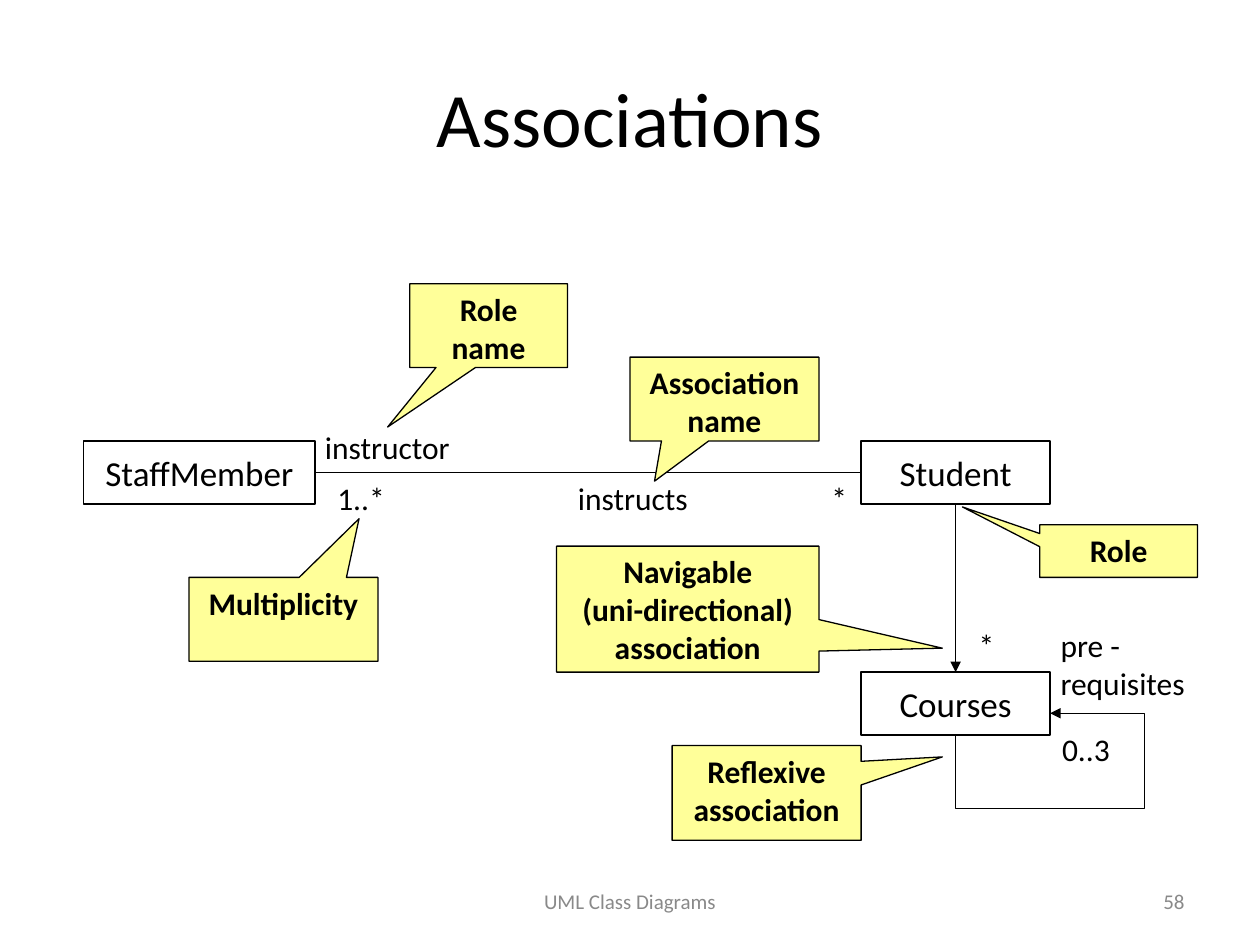
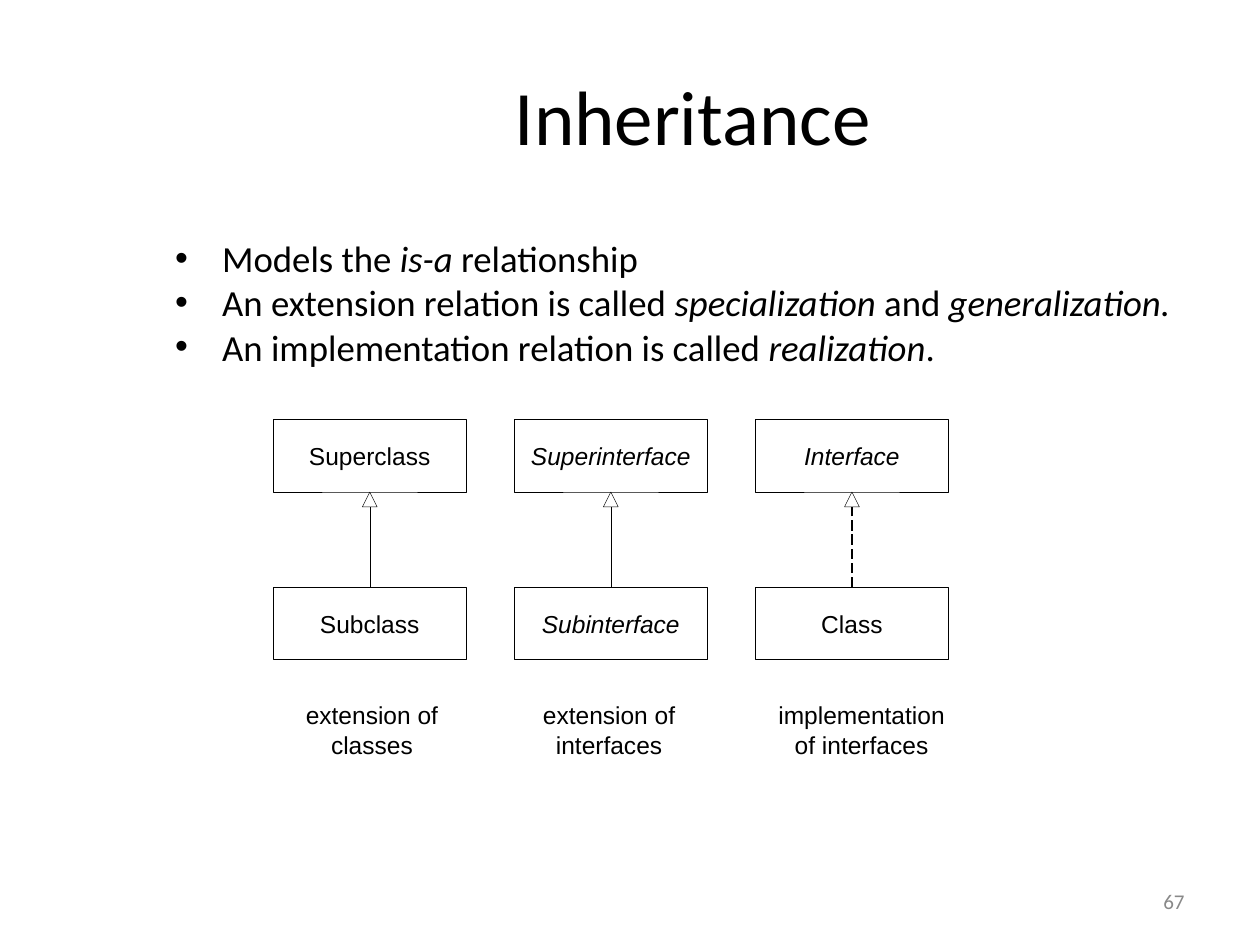
import pptx
import pptx.util
import pptx.dml.color
import pptx.enum.dml
import pptx.enum.shapes
import pptx.enum.text
import pptx.oxml.ns
import pptx.oxml.xmlchemy
from pptx.util import Cm

COLORS = {"ink": "000000", "paper": "FFFFFF", "note": "FFFF99", "footer": "898989"}
BODY_FONT = "Calibri"
DIAGRAM_FONT = "Arial"
ALIGN = pptx.enum.text.PP_ALIGN
ANCHOR = pptx.enum.text.MSO_ANCHOR
PRESET = pptx.enum.shapes.MSO_SHAPE
CONNECTOR = pptx.enum.shapes.MSO_CONNECTOR

FOOTER_TOP, FOOTER_HEIGHT = 17.65, 1.02
CLASS_HEIGHT = 1.27

# Inheritance diagram grid, in centimetres
COLUMN_LEFT, COLUMN_PITCH = 5.51, 4.86
BOX_WIDTH, BOX_HEIGHT = 3.89, 1.46
PARENT_TOP, CHILD_TOP, CAPTION_TOP = 8.46, 11.84, 14.12
ARROWHEAD = 0.3


def rgb(name):
    return pptx.dml.color.RGBColor.from_string(COLORS[name])


def make_element(tag, **attributes):
    element = pptx.oxml.xmlchemy.OxmlElement(tag)
    for name, value in attributes.items():
        element.set(name, value)
    return element


def add_run(paragraph, text, size, font=BODY_FONT, color="ink", bold=False, italic=False):
    run = paragraph.add_run()
    run.text = text
    run.font.name = font
    run.font.size = pptx.util.Pt(size)
    run.font.bold = bold
    run.font.italic = italic
    run.font.color.rgb = rgb(color)


def write(shape, text, size, align=ALIGN.LEFT, anchor=ANCHOR.TOP, wrap=True, **style):
    """Fill a shape with one paragraph; newlines become line breaks."""
    frame = shape.text_frame
    frame.word_wrap = wrap
    frame.vertical_anchor = anchor
    paragraph = frame.paragraphs[0]
    paragraph.alignment = align
    for index, line in enumerate(text.split("\n")):
        if index:
            paragraph.add_line_break()
        add_run(paragraph, line, size, **style)


def add_textbox(slide, left, top, width, height):
    return slide.shapes.add_textbox(Cm(left), Cm(top), Cm(width), Cm(height))


def add_title(slide, text, left, top, width, height):
    write(add_textbox(slide, left, top, width, height), text, 44, ALIGN.CENTER, ANCHOR.MIDDLE)


def add_footer(slide, number, text=None):
    if text:
        box = add_textbox(slide, 8.68, FOOTER_TOP, 8.04, FOOTER_HEIGHT)
        write(box, text, 12, ALIGN.CENTER, ANCHOR.MIDDLE, color="footer")
    box = add_textbox(slide, 18.2, FOOTER_TOP, 5.93, FOOTER_HEIGHT)
    write(box, str(number), 12, ALIGN.RIGHT, ANCHOR.MIDDLE, color="footer")


def add_outlined(slide, preset, left, top, width, height, fill=None, line_width=0.75):
    shape = slide.shapes.add_shape(preset, Cm(left), Cm(top), Cm(width), Cm(height))
    shape.shadow.inherit = False
    if fill:
        shape.fill.solid()
        shape.fill.fore_color.rgb = rgb(fill)
    else:
        shape.fill.background()
    shape.line.color.rgb = rgb("ink")
    shape.line.width = pptx.util.Pt(line_width)
    return shape


def add_class(slide, text, left, top, width):
    shape = add_outlined(slide, PRESET.RECTANGLE, left, top, width, CLASS_HEIGHT)
    write(shape, text, 20, ALIGN.CENTER, ANCHOR.MIDDLE, wrap=False)
    return shape


def add_callout(slide, text, left, top, width, height, tip_x, tip_y):
    """The tip is given in box widths and heights from the centre of the box."""
    shape = add_outlined(slide, PRESET.RECTANGULAR_CALLOUT, left, top, width, height, "note")
    shape.adjustments[0] = tip_x
    shape.adjustments[1] = tip_y
    write(shape, text, 18, ALIGN.CENTER, bold=True)


def add_line(slide, start, end, kind=CONNECTOR.STRAIGHT, line_width=0.75, dash=None, arrow=False):
    connector = slide.shapes.add_connector(kind, *(Cm(value) for value in (*start, *end)))
    connector.line.color.rgb = rgb("ink")
    connector.line.width = pptx.util.Pt(line_width)
    if dash:
        connector.line.dash_style = dash
    properties = connector._element.spPr
    if arrow:
        outline = properties.find(pptx.oxml.ns.qn("a:ln"))
        outline.append(make_element("a:tailEnd", type="triangle"))
    properties.append(make_element("a:effectLst"))
    return connector


def add_reflexive_arrow(slide):
    """Loop from the bottom of Courses round to its right side."""
    connector = add_line(slide, (20.43, 15.55), (20, 13.64), CONNECTOR.ELBOW, arrow=True)
    properties = connector._element.spPr
    properties.find(pptx.oxml.ns.qn("a:xfrm")).set("rot", "5400000")
    geometry = properties.find(pptx.oxml.ns.qn("a:prstGeom"))
    geometry.set("prst", "bentConnector4")
    guides = geometry.find(pptx.oxml.ns.qn("a:avLst"))
    if guides is None:
        guides = make_element("a:avLst")
        geometry.append(guides)
    for name, value in (("adj1", -346800), ("adj2", 199700)):
        guides.append(make_element("a:gd", name=name, fmla=f"val {value}"))


def add_bullets(slide, items):
    """Each item is a list of (text, italic) pairs."""
    frame = add_textbox(slide, 3.28, 4.8, 20.95, 3.33).text_frame
    frame.word_wrap = True
    for index, item in enumerate(items):
        paragraph = frame.add_paragraph() if index else frame.paragraphs[0]
        paragraph.line_spacing = 0.8
        if index:
            paragraph.space_before = pptx.util.Pt(5.2)
        properties = paragraph._p.get_or_add_pPr()
        properties.set("marL", str(Cm(0.95)))
        properties.set("indent", str(-Cm(0.95)))
        properties.append(make_element("a:buFont", typeface=DIAGRAM_FONT))
        properties.append(make_element("a:buChar", char="•"))
        for text, italic in item:
            add_run(paragraph, text, 21, italic=italic)


def add_diagram_box(slide, text, left, top, italic):
    shape = add_outlined(slide, PRESET.RECTANGLE, left, top, BOX_WIDTH, BOX_HEIGHT, "paper", 0.25)
    write(shape, text, 14, ALIGN.CENTER, ANCHOR.MIDDLE, wrap=False, font=DIAGRAM_FONT, italic=italic)
    return shape


def add_caption(slide, lines, center):
    width = 3.4
    frame = add_textbox(slide, center - width / 2, CAPTION_TOP, width, 1.19).text_frame
    frame.margin_left = frame.margin_right = frame.margin_top = frame.margin_bottom = 0
    frame.word_wrap = False
    for index, line in enumerate(lines):
        paragraph = frame.add_paragraph() if index else frame.paragraphs[0]
        paragraph.alignment = ALIGN.CENTER
        add_run(paragraph, line, 14, font=DIAGRAM_FONT)


def add_inheritance(slide, column, parent, child, caption, caption_center, dashed=False):
    """One column: parent above child, a hollow arrow between them, a caption below."""
    (parent_text, parent_italic), (child_text, child_italic) = parent, child
    left = COLUMN_LEFT + column * COLUMN_PITCH
    center = left + BOX_WIDTH / 2
    head_top = PARENT_TOP + BOX_HEIGHT
    add_diagram_box(slide, parent_text, left, PARENT_TOP, parent_italic)
    child_box = add_diagram_box(slide, child_text, left, CHILD_TOP, child_italic)
    dash = pptx.enum.dml.MSO_LINE.LONG_DASH if dashed else None
    line = add_line(slide, (center, CHILD_TOP), (center, head_top + ARROWHEAD),
                    line_width=0.75 if dashed else 0.25, dash=dash)
    line.begin_connect(child_box, 0)
    add_outlined(slide, PRESET.ISOSCELES_TRIANGLE, center - ARROWHEAD / 2, head_top,
                 ARROWHEAD, ARROWHEAD, line_width=0.25)
    add_caption(slide, caption, caption_center)


def build_associations(slide):
    add_footer(slide, 58, "UML Class Diagrams")
    add_title(slide, "Associations", 1.27, 0.76, 22.86, 3.18)

    staff = add_class(slide, "StaffMember", 1.69, 8.89, 4.66)
    student = add_class(slide, "Student", 17.36, 8.89, 3.81)
    courses = add_class(slide, "Courses", 17.36, 13.55, 3.81)

    instructs = add_line(slide, (6.35, 9.53), (17.36, 9.53))
    instructs.begin_connect(staff, 3)
    instructs.end_connect(student, 1)
    navigable = add_line(slide, (19.26, 10.16), (19.26, 13.55), arrow=True)
    navigable.begin_connect(student, 2)
    navigable.end_connect(courses, 0)
    add_reflexive_arrow(slide)

    for text, left, top, width, height in (
        ("1..*", 6.55, 9.53, 1.47, 1.02),
        ("*", 16.51, 9.53, 0.81, 1.02),
        ("instructs", 11.4, 9.53, 2.72, 1.02),
        ("instructor", 6.3, 8.51, 3.02, 1.02),
        ("pre -\nrequisites", 21.13, 12.5, 3.02, 1.78),
        ("0..3", 21.16, 14.6, 1.47, 1.02),
        ("*", 19.48, 12.5, 0.81, 1.02),
    ):
        write(add_textbox(slide, left, top, width, height), text, 18, wrap=False)

    for callout in (
        ("Association name", 12.7, 7.2, 3.81, 1.69, -0.37, 0.98),
        ("Role name", 8.26, 5.72, 3.18, 1.69, -0.64, 1.21),
        ("Multiplicity", 3.81, 11.64, 3.81, 1.69, 0.4, -1.2),
        ("Navigable\n(uni-directional) association", 11.22, 11.01, 5.29, 2.54, 0.97, 0.31),
        ("Reflexive association", 13.55, 15.03, 3.81, 1.91, 0.93, -0.38),
        ("Role", 20.96, 10.58, 3.18, 1.06, -0.99, -0.84),
    ):
        add_callout(slide, *callout)


def build_inheritance(slide):
    add_footer(slide, 67)
    add_title(slide, "Inheritance", 3.81, 1.14, 20.32, 2.34)
    add_bullets(slide, (
        [("Models the ", False), ("is-a", True), (" relationship", False)],
        [("An extension relation is called ", False), ("specialization ", True),
         ("and", False), (" generalization.", True)],
        [("An implementation relation is called ", False), ("realization", True), (".", False)],
    ))
    add_inheritance(slide, 0, ("Superclass", False), ("Subclass", False),
                    ("extension of", "classes"), 7.5)
    add_inheritance(slide, 1, ("Superinterface", True), ("Subinterface", True),
                    ("extension of", "interfaces"), 12.28)
    add_inheritance(slide, 2, ("Interface", True), ("Class", False),
                    ("implementation", "of interfaces"), 17.37, dashed=True)


def main():
    presentation = pptx.Presentation()
    presentation.slide_width = Cm(25.4)
    presentation.slide_height = Cm(19.05)
    blank = presentation.slide_layouts[6]
    for build in (build_associations, build_inheritance):
        build(presentation.slides.add_slide(blank))
    presentation.save("out.pptx")


if __name__ == "__main__":
    main()
